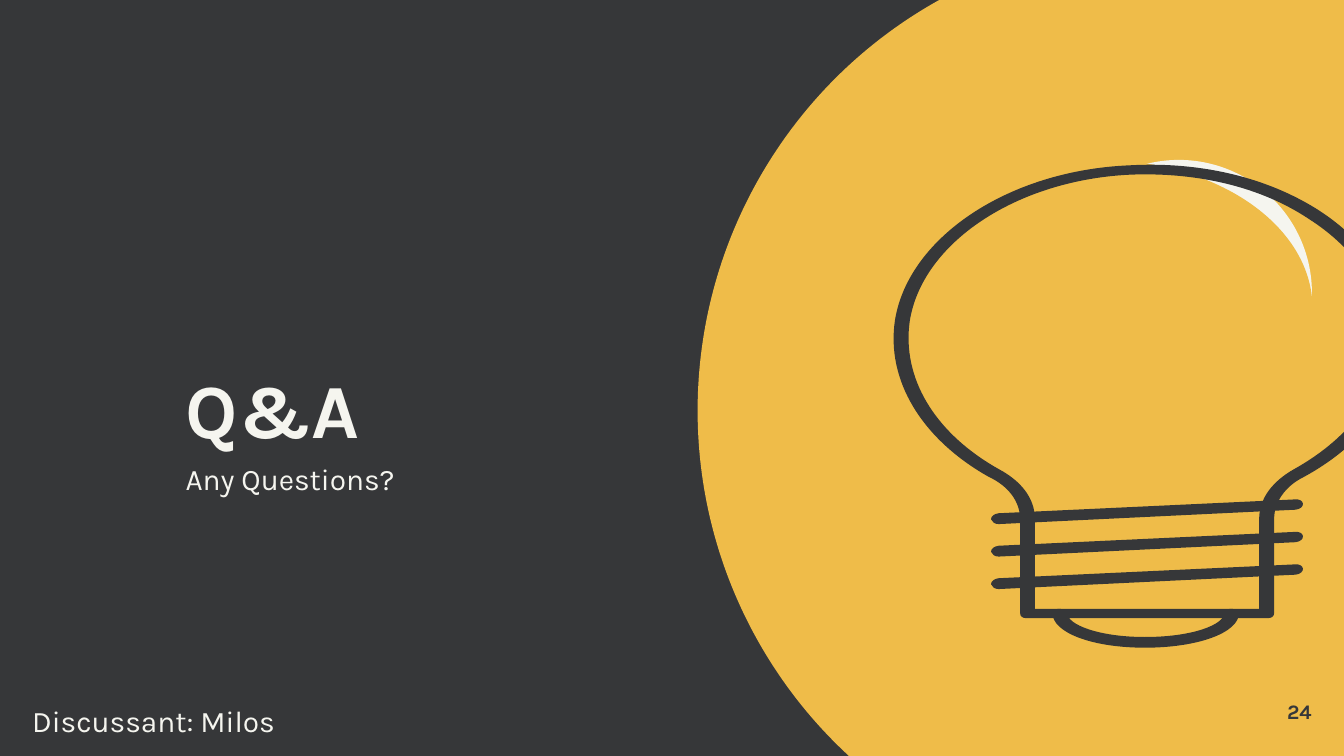
import lxml.etree
import pptx
import pptx.dml.color
import pptx.enum.shapes
import pptx.enum.text
import pptx.oxml.ns
import pptx.util

Pt = pptx.util.Pt
RGBColor = pptx.dml.color.RGBColor
SHAPE = pptx.enum.shapes.MSO_SHAPE
ALIGN = pptx.enum.text.PP_ALIGN
ANCHOR = pptx.enum.text.MSO_ANCHOR
qn = pptx.oxml.ns.qn

CHARCOAL = RGBColor(0x36, 0x37, 0x39)
YELLOW = RGBColor(0xEF, 0xBC, 0x49)
CREAM = RGBColor(0xF5, 0xF5, 0xEF)

# Outlines in points: a pair is a line to that point,
# six numbers are a Bezier curve (two controls and the end).
GLASS_OUTER = [
    (679, 331.2), (550.1, 331.2),
    (547.9, 331.2, 546.5, 330.5, 546.5, 328.3), (546.5, 277.9),
    (546.5, 269.3, 540.7, 260.6, 529.9, 255.6),
    (493.9, 235.4, 474.5, 203.8, 479.5, 171.4),
    (486.7, 127.4, 540, 91.4, 604.8, 88.6),
    (643, 86.4, 679, 95, 707, 113),
    (734.4, 131, 750.2, 156.2, 750.2, 182.2),
    (750.2, 211, 731.5, 237.6, 698.4, 255.6),
    (688.3, 260.6, 682.6, 269.3, 682.6, 277.9), (682.6, 328.3),
    (682.6, 330.5, 681.1, 331.2, 679, 331.2),
]
GLASS_INNER = [
    (554.4, 326.2), (674.6, 326.2), (674.6, 277.9),
    (674.6, 267.1, 681.8, 257.8, 693.4, 251.3),
    (724.3, 234, 742.3, 208.8, 742.3, 182.2),
    (742.3, 157.7, 727.2, 133.9, 701.3, 117.4),
    (675.4, 100.1, 641.5, 92.2, 605.5, 93.6),
    (544.3, 96.5, 493.9, 130.3, 487.4, 172.1),
    (483.1, 202.3, 500.4, 231.8, 535, 251.3),
    (547.2, 257.8, 554.4, 267.1, 554.4, 277.9),
]
FOOT = [
    (613.4, 347),
    (585.4, 347, 563.8, 339.1, 563.8, 328.3),
    (563.8, 326.9, 565.2, 326.2, 567.4, 326.2),
    (569.5, 326.2, 571.7, 326.9, 571.7, 328.3),
    (571.7, 334.8, 589, 341.3, 613.4, 341.3),
    (638.6, 341.3, 655.9, 334.8, 655.9, 328.3),
    (655.9, 326.9, 657.4, 326.2, 659.5, 326.2),
    (661.7, 326.2, 663.8, 326.9, 663.8, 328.3),
    (663.8, 339.1, 641.5, 347, 613.4, 347),
]
THREAD = [
    (535, 280.8),
    (532.8, 280.8, 531.4, 279.6, 530.9, 278.2),
    (530.9, 276.5, 532.8, 275.3, 535, 275), (693.4, 267.6),
    (696.2, 267.3, 697.7, 268.3, 698, 269.8),
    (698.2, 271.4, 696.6, 272.8, 694.1, 273.1),
]
THREAD_STEP = 17.4


class Deck:
    font = "Karla"

    def __init__(self, width, height):
        self.prs = pptx.Presentation()
        self.prs.slide_width, self.prs.slide_height = Pt(width), Pt(height)
        self.s = None

    def slide(self, color):
        self.s = self.prs.slides.add_slide(self.prs.slide_layouts[6])
        fill = self.s.background.fill
        fill.solid()
        fill.fore_color.rgb = color

    def paint(self, sp, color):
        sp.shadow.inherit = False
        sp.fill.solid()
        sp.fill.fore_color.rgb = color
        sp.line.fill.background()

    def shape(self, kind, box, color, adjust=(), rotation=0, group=None):
        sp = (group or self.s).shapes.add_shape(kind, *map(Pt, box))
        for i, value in enumerate(adjust):
            sp.adjustments[i] = value
        sp.rotation = rotation
        self.paint(sp, color)

    def outline(self, group, color, *contours, dy=0):
        """Draw closed contours as one freeform, moved down by dy points."""
        builder = None
        for contour in contours:
            start, *ends = [(Pt(seg[-2]), Pt(seg[-1] + dy)) for seg in contour]
            if builder is None:
                builder = group.shapes.build_freeform(*start, scale=1.0)
            else:
                builder.move_to(*start)
            builder.add_line_segments(ends, close=True)
        sp = builder.convert_to_shape()
        segments = [seg for contour in contours for seg in contour[1:]]
        lines = list(sp.element.iter(qn("a:lnTo")))
        for line, seg in zip(lines, segments):
            if len(seg) == 6:
                self.bend(line, seg, sp.left, sp.top, dy)
        self.paint(sp, color)

    def bend(self, line, seg, left, top, dy):
        """Replace a straight segment by a Bezier curve."""
        curve = lxml.etree.Element(qn("a:cubicBezTo"))
        for x, y in zip(seg[::2], seg[1::2]):
            lxml.etree.SubElement(curve, qn("a:pt"), x=str(Pt(x) - left),
                                  y=str(Pt(y + dy) - top))
        line.getparent().replace(line, curve)

    def text(self, words, box, size, color=CREAM, bold=False, spacing=None,
             after=None, align=ALIGN.LEFT, anchor=ANCHOR.TOP):
        tf = self.s.shapes.add_textbox(*map(Pt, box)).text_frame
        tf.word_wrap = True
        tf.vertical_anchor = anchor
        tf.margin_left = tf.margin_top = tf.margin_right = tf.margin_bottom = 0
        p = tf.paragraphs[0]
        p.alignment = align
        if spacing:
            p.line_spacing = spacing
        if after:
            p.space_after = Pt(after)
        r = p.add_run()
        r.text = words
        r.font.name, r.font.size, r.font.bold = self.font, Pt(size), bold
        r.font.color.rgb = color


def main():
    deck = Deck(720, 405)
    deck.slide(CHARCOAL)
    deck.shape(SHAPE.CHORD, (373.7, -31.7, 503.3, 503.3), YELLOW,
               adjust=(143.85, 72.08), rotation=180)
    deck.shape(SHAPE.DONUT, (560.2, 85.7, 142.6, 142.6), CREAM, adjust=(0.28,))

    deck.text("Q&A", (99.4, 132.8, 164.2, 110.9), 41, bold=True,
              spacing=0.9, anchor=ANCHOR.BOTTOM)
    deck.text("24", (659.5, 373.7, 43.2, 14.4), 11, CHARCOAL, bold=True,
              align=ALIGN.RIGHT, anchor=ANCHOR.MIDDLE)
    deck.text("Any Questions?", (99.4, 244.1, 198.7, 20.9), 16,
              spacing=1.15, after=8)

    bulb = deck.s.shapes.add_group_shape()
    deck.shape(SHAPE.OVAL, (474.5, 85.7, 228.6, 158.4), YELLOW, group=bulb)
    deck.outline(bulb, CHARCOAL, GLASS_OUTER, GLASS_INNER)
    deck.outline(bulb, CHARCOAL, FOOT)
    for i in range(3):
        deck.outline(bulb, CHARCOAL, THREAD, dy=i * THREAD_STEP)

    deck.text("Discussant: Milos", (17.3, 373.7, 134.6, 20.9), 16,
              spacing=1.15, after=8)
    deck.prs.save("out.pptx")


if __name__ == "__main__":
    main()
